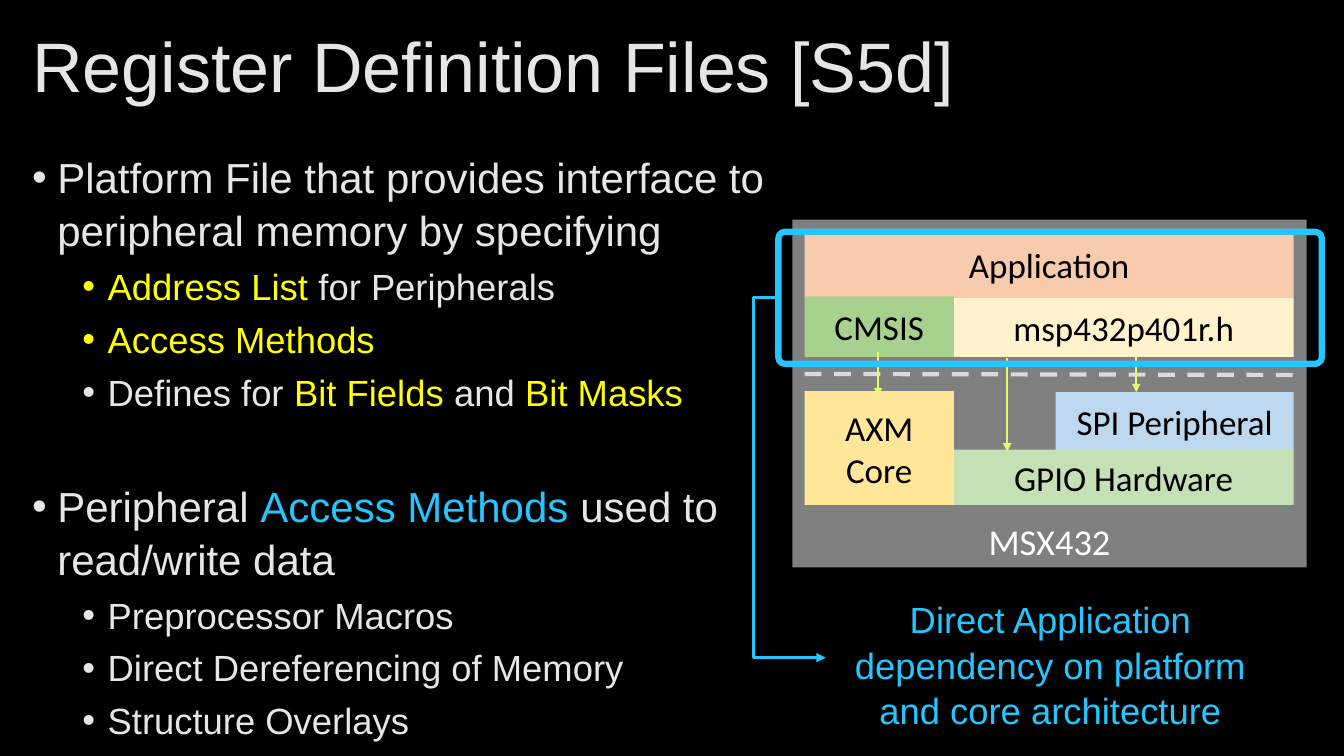
"""Builds the slide on register definition files and the layers that use them."""
from lxml.etree import SubElement
from pptx import Presentation
from pptx.dml.color import RGBColor
from pptx.enum.dml import MSO_LINE_DASH_STYLE as DASH
from pptx.enum.shapes import MSO_CONNECTOR as LINK, MSO_SHAPE as SHAPE
from pptx.enum.text import MSO_ANCHOR as ANCHOR, PP_ALIGN as ALIGN
from pptx.oxml.ns import qn
from pptx.util import Emu, Pt

COLORS = {
    "back": "000000", "light": "E7E6E6", "yellow": "FFFF00", "cyan": "25C6FF",
    "white": "FFFFFF", "black": "000000", "lime": "E7FC6A", "dash": "DBDBDB",
    "chip": "808080", "spi": "BDD7EE", "gpio": "C5E0B4", "app": "F8CBAD",
    "header": "FFF2CC", "core": "FFE699", "cmsis": "A9D18E",
}
TITLE = "Register Definition Files [S5d]"
POINTS = [
    (0, 0, [("Platform File that provides interface to peripheral memory by specifying", "light")]),
    (1, 5, [("Address List ", "yellow"), ("for Peripherals", "light")]),
    (1, 5, [("Access Methods", "yellow")]),
    (1, 5, [("Defines for ", "light"), ("Bit Fields ", "yellow"),
            ("and ", "light"), ("Bit Masks", "yellow")]),
    (0, 46, [("Peripheral ", "light"), ("Access Methods ", "cyan"),
             ("used to read/write data", "light")]),
    (1, 5, [("Preprocessor Macros", "light")]),
    (1, 5, [("Direct Dereferencing of Memory", "light")]),
    (1, 5, [("Structure Overlays", "light")]),
]
LEVELS = [(30, 25), (26, 75)]
HANGING = 25
NOTE = "Direct Application dependency on platform and core architecture"
CHIP = ("MSX432", "chip", (786, 218, 510, 345))
LOWER_BLOCKS = [
    ("SPI Peripheral", "spi", (1047, 389, 236, 58)),
    ("GPIO Hardware", "gpio", (946, 446, 337, 55)),
]
UPPER_BLOCKS = [
    ("Application", "app", (798, 230, 485, 65)),
    ("msp432p401r.h", "header", (946, 295, 337, 59)),
    ("AXM Core", "core", (798, 388, 148, 113)),
    ("CMSIS", "cmsis", (798, 294, 148, 60)),
]
BOUNDARY = (798, 371, 1287, 372)
HEADER_CALLS = [(999, 355, 999, 448), (1127, 345, 1127, 389)]
CORE_CALL = (871, 349, 871, 393)
DEPENDENT = (772, 230, 539, 131)
LINE_SPACING = 1.05
SCALE = 9144


def px(length):
    return Emu(length * SCALE)


def color(name):
    return RGBColor.from_string(COLORS[name])


def add_run(paragraph, text, font, size, tint):
    run = paragraph.add_run()
    run.text = text
    run.font.name, run.font.size = font, Pt(size)
    run.font.color.rgb = color(tint)


def add_box(slide, place, top_inset=5):
    box = slide.shapes.add_textbox(*map(px, place))
    box.text_frame.word_wrap = True
    box.text_frame.margin_top = px(top_inset)
    return box


def add_block(slide, label, fill, place, size=25, tint="black", anchor=ANCHOR.MIDDLE):
    block = slide.shapes.add_shape(SHAPE.RECTANGLE, *map(px, place))
    block.shadow.inherit = False
    block.fill.solid()
    block.fill.fore_color.rgb = color(fill)
    block.line.fill.background()
    block.text_frame.word_wrap = True
    block.text_frame.vertical_anchor = anchor
    paragraph = block.text_frame.paragraphs[0]
    paragraph.alignment = ALIGN.CENTER
    add_run(paragraph, label, "Calibri", size, tint)


def add_line(slide, ends, tint, width, kind=LINK.STRAIGHT, arrow=True):
    line = slide.shapes.add_connector(kind, *map(px, ends))
    line.line.color.rgb = color(tint)
    line.line.width = Pt(width)
    if arrow:
        SubElement(line.line._get_or_add_ln(), qn("a:tailEnd"), type="triangle")
    SubElement(line._element.spPr, qn("a:effectLst"))
    return line


def add_points(slide):
    frame = add_box(slide, (22, 140, 764, 600), 8).text_frame
    for index, (level, gap, runs) in enumerate(POINTS):
        paragraph = frame.paragraphs[0] if index == 0 else frame.add_paragraph()
        size, indent = LEVELS[level]
        paragraph.level = level
        paragraph.line_spacing = LINE_SPACING
        paragraph.space_before = Pt(gap)
        props = paragraph._p.get_or_add_pPr()
        props.set("marL", str(px(indent)))
        props.set("indent", str(px(-HANGING)))
        SubElement(props, qn("a:buFont"), typeface="Arial")
        SubElement(props, qn("a:buChar"), char="•")
        for text, tint in runs:
            add_run(paragraph, text, "Arial", size, tint)


def main():
    deck = Presentation()
    deck.slide_width, deck.slide_height = px(1333), px(750)
    slide = deck.slides.add_slide(deck.slide_layouts[6])
    slide.background.fill.solid()
    slide.background.fill.fore_color.rgb = color("back")

    title = add_box(slide, (22, 21, 1289, 97)).text_frame
    title.vertical_anchor = ANCHOR.MIDDLE
    title.paragraphs[0].line_spacing = 0.9
    add_run(title.paragraphs[0], TITLE, "Arial", 50, "light")
    add_points(slide)

    note = add_box(slide, (819, 582, 446, 141), 8)
    note_line = note.text_frame.paragraphs[0]
    note_line.alignment = ALIGN.CENTER
    note_line.line_spacing = LINE_SPACING
    add_run(note_line, NOTE, "Arial", 26, "cyan")

    add_block(slide, *CHIP, size=26, tint="white", anchor=ANCHOR.BOTTOM)
    for block in LOWER_BLOCKS:
        add_block(slide, *block)
    boundary = add_line(slide, BOUNDARY, "dash", 3, arrow=False)
    boundary.line.dash_style = DASH.DASH
    for call in HEADER_CALLS:
        add_line(slide, call, "lime", 1.5)
    for block in UPPER_BLOCKS:
        add_block(slide, *block)
    add_line(slide, CORE_CALL, "lime", 1.5)

    dependent = slide.shapes.add_shape(SHAPE.ROUNDED_RECTANGLE, *map(px, DEPENDENT))
    dependent.shadow.inherit = False
    dependent.adjustments[0] = 0.05
    dependent.fill.background()
    dependent.line.color.rgb = color("cyan")
    dependent.line.width = Pt(4.5)

    dependency = add_line(slide, (772, 295, 819, 653), "cyan", 2.25, LINK.ELBOW)
    dependency.begin_connect(dependent, 1)
    dependency.end_connect(note, 1)
    bend = dependency._element.spPr.find(qn("a:prstGeom")).get_or_add_avLst()
    SubElement(bend, qn("a:gd"), name="adj1", fmla="val -52800")

    deck.save("out.pptx")


if __name__ == "__main__":
    main()
